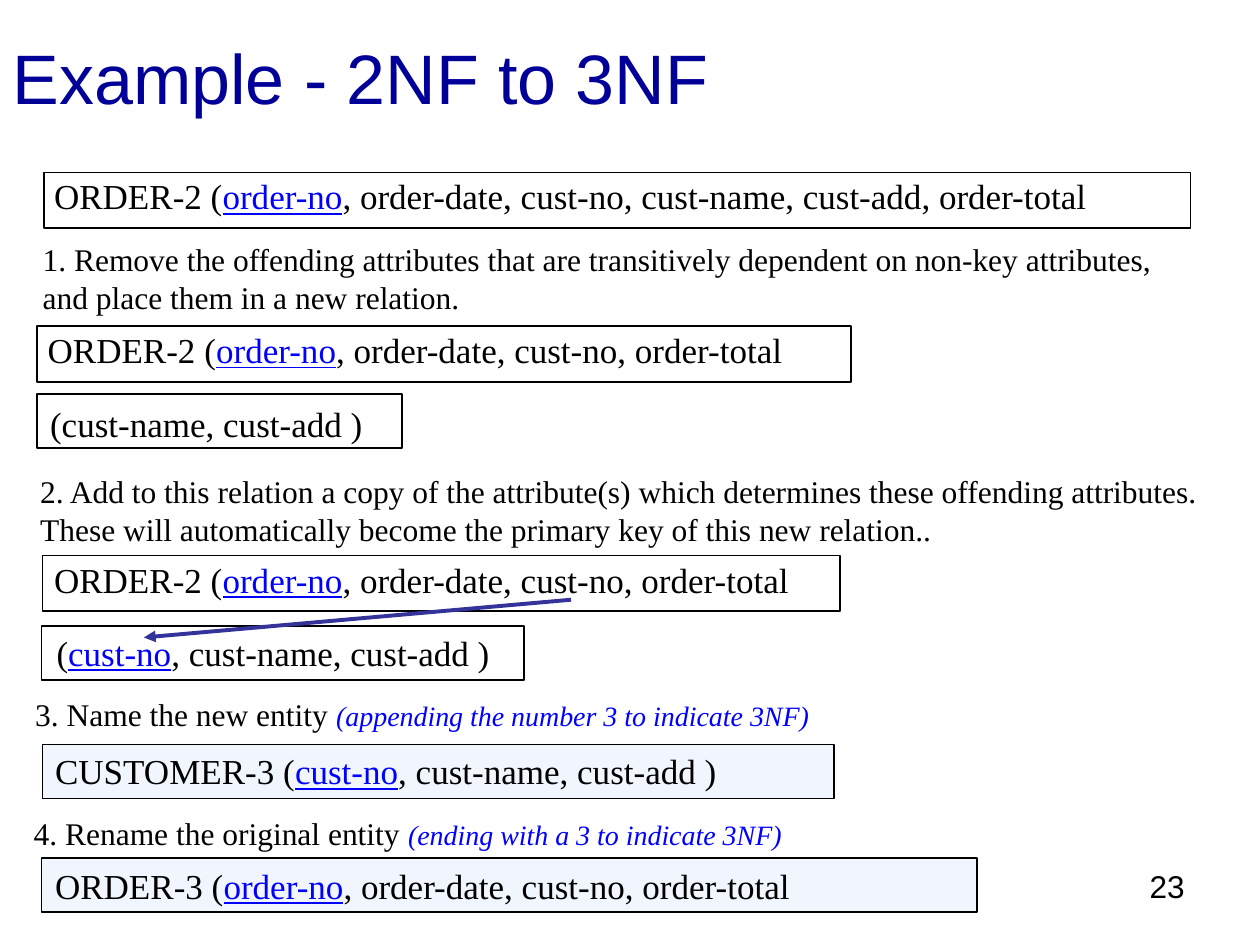
from dataclasses import dataclass

from lxml.etree import SubElement
from pptx import Presentation
from pptx.dml.color import RGBColor
from pptx.enum.shapes import MSO_CONNECTOR, MSO_SHAPE
from pptx.enum.text import MSO_ANCHOR, PP_ALIGN
from pptx.oxml.ns import qn
from pptx.util import Cm, Pt

SERIF, SANS = "Times New Roman", "Arial"
BLACK, WHITE, BLUE, PALE = "000000", "FFFFFF", "0000FF", "F0F5FE"
NAVY, INDIGO = "000099", "333399"


@dataclass
class Span:
    text: str
    size: int = 20
    color: str = BLACK
    font: str = SERIF
    underline: bool = False
    italic: bool = False


@dataclass
class Area:
    """Left, top, width and height in centimetres."""
    left: float
    top: float
    width: float
    height: float

    def lengths(self) -> list[Cm]:
        return [Cm(n) for n in (self.left, self.top, self.width, self.height)]


@dataclass
class Relation:
    frame: Area
    text_area: Area
    name: str
    key: str
    attributes: str
    fill: str = WHITE


@dataclass
class Step:
    area: Area
    text: str
    remark: str = ""
    line_spacing: float = 1.0


def rgb(color: str) -> RGBColor:
    return RGBColor.from_string(color)


def add_spans(para, spans: list[Span]) -> None:
    for span in spans:
        run = para.add_run()
        run.text = span.text
        run.font.name = span.font
        run.font.size = Pt(span.size)
        run.font.color.rgb = rgb(span.color)
        run.font.underline = span.underline
        run.font.italic = span.italic


def add_text(page, area: Area, spans: list[Span]):
    box = page.shapes.add_textbox(*area.lengths())
    box.text_frame.word_wrap = True
    para = box.text_frame.paragraphs[0]
    add_spans(para, spans)
    return para


def add_relation(page, relation: Relation) -> None:
    frame = page.shapes.add_shape(MSO_SHAPE.RECTANGLE, *relation.frame.lengths())
    frame.shadow.inherit = False
    frame.fill.solid()
    frame.fill.fore_color.rgb = rgb(relation.fill)
    frame.line.color.rgb = rgb(BLACK)
    frame.line.width = Pt(1)
    spans = [
        Span(relation.name),
        Span(relation.key, color=BLUE, underline=True),
        Span(relation.attributes),
    ]
    add_text(page, relation.text_area, [span for span in spans if span.text])


def add_step(page, step: Step) -> None:
    spans = [Span(step.text, 18)]
    if step.remark:
        spans.append(Span(step.remark, 16, BLUE, italic=True))
    add_text(page, step.area, spans).line_spacing = step.line_spacing


def add_arrow(page, start: tuple[float, float], end: tuple[float, float]) -> None:
    arrow = page.shapes.add_connector(
        MSO_CONNECTOR.STRAIGHT, *(Cm(n) for n in start + end))
    arrow.line.color.rgb = rgb(INDIGO)
    arrow.line.width = Pt(2.25)
    SubElement(arrow.line._get_or_add_ln(), qn("a:tailEnd"), type="triangle")
    SubElement(arrow._element.spPr, qn("a:effectLst"))


def add_title(page, text: str) -> None:
    title = page.shapes.title
    title.left, title.top, title.width, title.height = Area(0, 0, 25.4, 3.07).lengths()
    title.text_frame.vertical_anchor = MSO_ANCHOR.MIDDLE
    para = title.text_frame.paragraphs[0]
    para.alignment = PP_ALIGN.LEFT
    add_spans(para, [Span(text, 40, NAVY, SANS)])


ORDER_ATTRIBUTES = ", order-date, cust-no, order-total"
CUSTOMER_ATTRIBUTES = ", cust-name, cust-add )"

CONTENT = [
    Relation(Area(0.89, 3.48, 23.11, 1.12), Area(0.84, 3.4, 23.62, 1.12), "ORDER-2 (",
             "order-no", ", order-date, cust-no, cust-name, cust-add, order-total"),
    Step(Area(0.61, 4.72, 23.85, 1.78),
         "1. Remove the offending attributes that are transitively dependent on "
         "non-key attributes, and place them in a new relation."),
    Relation(Area(0.74, 6.58, 16.41, 1.12), Area(0.71, 6.5, 16.76, 1.12),
             "ORDER-2 (", "order-no", ORDER_ATTRIBUTES),
    Relation(Area(0.74, 7.95, 7.37, 1.09), Area(0.76, 7.98, 7.82, 1.12),
             "(cust-name, cust-add )", "", ""),
    Step(Area(0.56, 9.4, 23.9, 1.78),
         "2. Add to this relation a copy of the attribute(s) which determines these "
         "offending attributes. These will automatically become the primary key of "
         "this new relation.."),
    Relation(Area(0.86, 11.2, 16.08, 1.12), Area(0.84, 11.13, 16.43, 1.12),
             "ORDER-2 (", "order-no", ORDER_ATTRIBUTES),
    Relation(Area(0.84, 12.62, 9.73, 1.09), Area(0.89, 12.6, 10.39, 1.12),
             "(", "cust-no", CUSTOMER_ATTRIBUTES),
    Step(Area(0.46, 13.97, 19.56, 0.94), "3. Name the new entity ",
         "(appending the number 3 to indicate 3NF)", 0.9),
    Relation(Area(0.86, 15.01, 15.95, 1.09), Area(0.86, 14.99, 17.04, 1.12),
             "CUSTOMER-3 (", "cust-no", CUSTOMER_ATTRIBUTES, PALE),
    Step(Area(0.43, 16.28, 20.02, 1.02), "4. Rename the original entity ",
         "(ending with a 3 to indicate 3NF)"),
    Relation(Area(0.84, 17.3, 18.85, 1.09), Area(0.86, 17.3, 18.92, 1.12),
             "ORDER-3 (", "order-no", ORDER_ATTRIBUTES, PALE),
]


def main() -> None:
    deck = Presentation()
    deck.slide_width, deck.slide_height = Cm(25.4), Cm(19.05)
    page = deck.slides.add_slide(deck.slide_layouts.get_by_name("Title Only"))
    add_title(page, "Example - 2NF to 3NF")
    for item in CONTENT:
        if isinstance(item, Relation):
            add_relation(page, item)
        else:
            add_step(page, item)
    add_arrow(page, (11.51, 12.09), (2.9, 12.85))
    number = add_text(page, Area(18.21, 17.35, 5.92, 1.32), [Span("23", 18, font=SANS)])
    number.alignment = PP_ALIGN.RIGHT
    deck.save("out.pptx")


if __name__ == "__main__":
    main()
